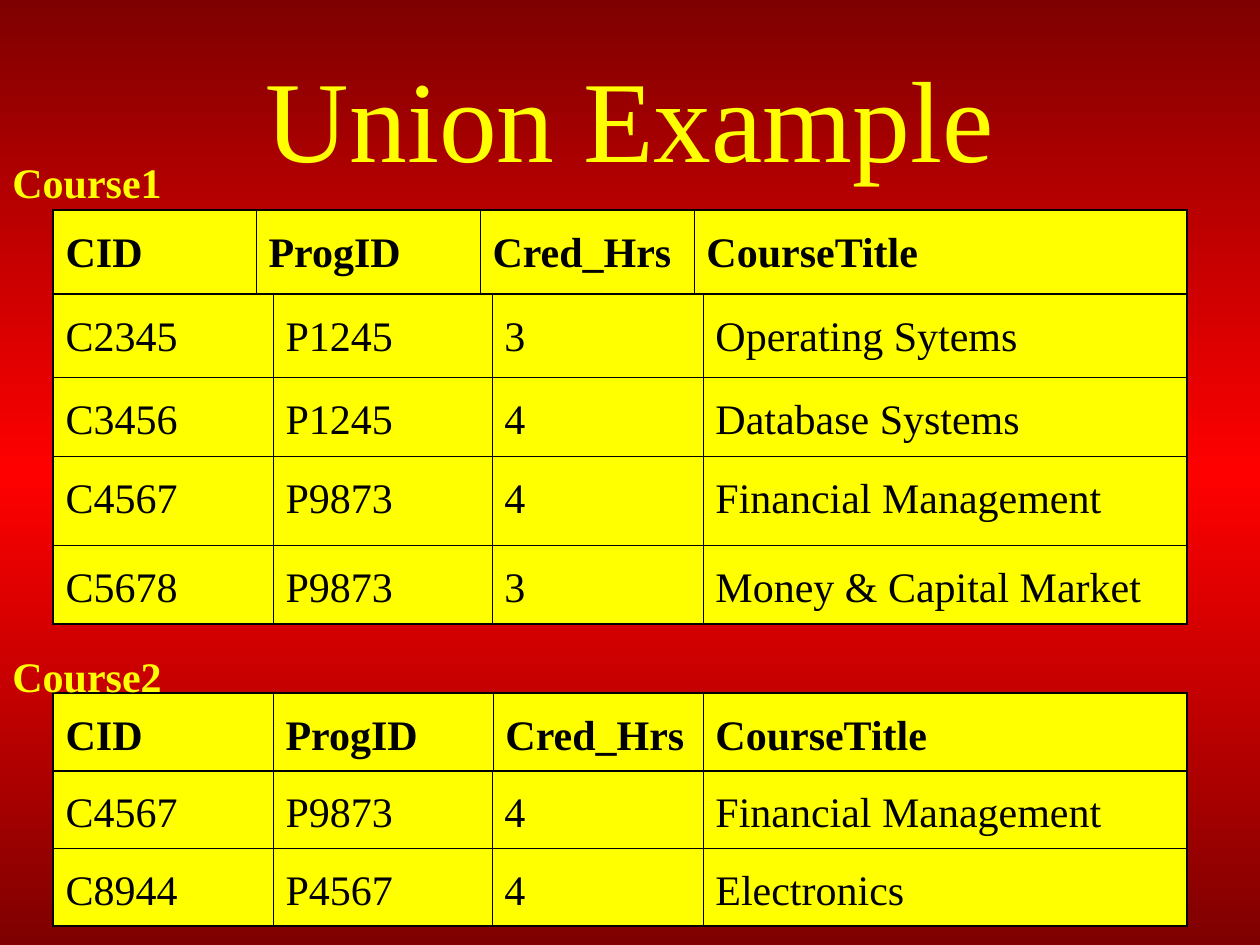
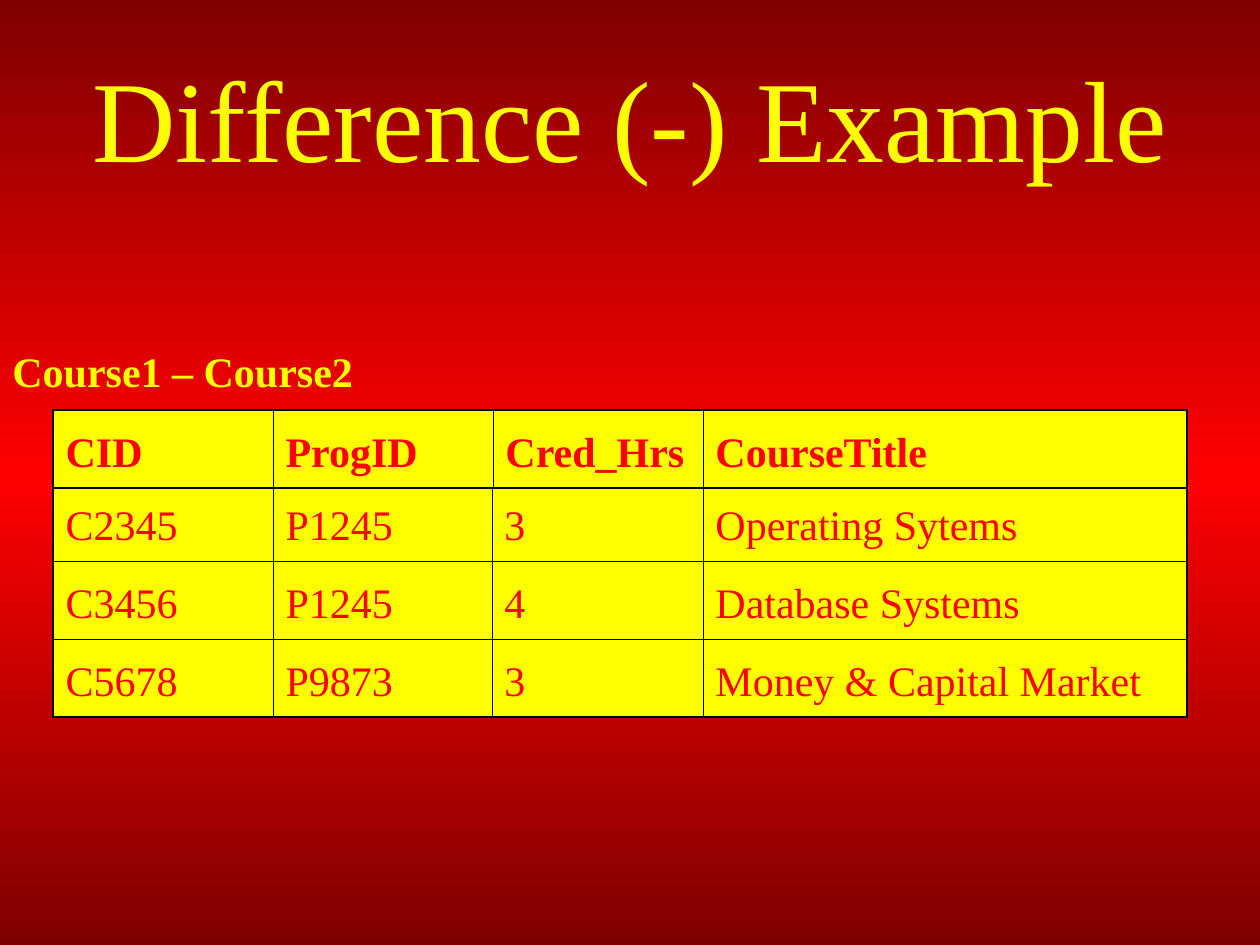
from dataclasses import dataclass
from copy import deepcopy

from lxml.etree import SubElement
from pptx import Presentation
from pptx.dml.color import RGBColor
from pptx.enum.text import MSO_ANCHOR as Anchor, MSO_AUTO_SIZE as Fit, PP_ALIGN as Align
from pptx.oxml.ns import qn
from pptx.util import Emu, Pt

FONT = "Times New Roman"
YELLOW, RED, DARK, BLACK = "FFFF00", "FF0000", "7F0000", "000000"
THICK, THIN = 1.08, 0.45
LEFT, WIDTH = 53, 1134
HEADS = ["CID", "ProgID", "Cred_Hrs", "CourseTitle"]
BODY_COLS = [220, 219, 211, 484]
HEAD_COLS = [220, 220, 210, 484]
WIDE_COLS = [203, 224, 214, 493]

SYSTEMS = ["C2345", "P1245", "3", "Operating Sytems"]
DATA = ["C3456", "P1245", "4", "Database Systems"]
FINANCE = ["C4567", "P9873", "4", "Financial Management"]
MARKET = ["C5678", "P9873", "3", "Money & Capital Market"]
CIRCUITS = ["C8944", "P4567", "4", "Electronics"]


@dataclass
class Grid:
    top: int
    heights: list[int]
    cells: list[list[str]]
    cols: list[int]
    ink: str = BLACK
    bold: bool = False


@dataclass
class Label:
    text: str
    top: int
    width: int


@dataclass
class Page:
    title: str
    grids: list[Grid]
    labels: list[Label]


PAGES = [
    Page(
        "Union Example",
        [
            Grid(294, [83, 79, 89, 79], [SYSTEMS, DATA, FINANCE, MARKET], BODY_COLS),
            Grid(210, [84], [HEADS], WIDE_COLS, bold=True),
            Grid(770, [78, 78], [FINANCE, CIRCUITS], BODY_COLS),
            Grid(693, [78], [HEADS], HEAD_COLS, bold=True),
        ],
        [Label("Course1", 147, 210), Label("Course2", 640, 210)],
    ),
    Page(
        "Difference (-) Example",
        [
            Grid(483, [78, 78, 78], [SYSTEMS, DATA, MARKET], BODY_COLS, RED),
            Grid(410, [78], [HEADS], HEAD_COLS, RED, True),
        ],
        [Label("Course1 – Course2", 336, 399)],
    ),
]


def px(n: int) -> Emu:
    return Emu(round(n * 914400 / 126))


def rgb(code: str) -> RGBColor:
    return RGBColor.from_string(code)


def style(para, size: int, ink: str, bold: bool = False) -> None:
    font = para.font
    font.name, font.size, font.bold = FONT, Pt(size), bold
    font.color.rgb = rgb(ink)


def paint(master) -> None:
    """Give the master its dark, red, dark vertical gradient."""
    fill = master.background.fill
    fill.gradient()
    fill.gradient_angle = 270
    for stop in fill.gradient_stops:
        stop.color.rgb = rgb(DARK)
    stops = master.element.find(".//" + qn("a:gsLst"))
    stops.insert(1, deepcopy(stops[0]))
    for stop, place, ink in zip(fill.gradient_stops, (0, 0.5, 1), (DARK, RED, DARK)):
        stop.position = place
        stop.color.rgb = rgb(ink)


def edge(cell, sides: dict[str, float]) -> None:
    """Draw the cell borders; they must precede the fill."""
    props = cell._tc.get_or_add_tcPr()
    for spot, (side, width) in enumerate(sides.items()):
        line = SubElement(props, qn(f"a:ln{side}"), w=str(Pt(width)))
        SubElement(SubElement(line, qn("a:solidFill")), qn("a:srgbClr"), val=BLACK)
        props.insert(spot, line)


def add_grid(slide, grid: Grid) -> None:
    rows, cols = len(grid.heights), len(grid.cols)
    frame = slide.shapes.add_table(
        rows, cols, px(LEFT), px(grid.top), px(WIDTH), px(sum(grid.heights)))
    table = frame.table
    table.first_row = table.horz_banding = False
    for col, width in zip(table.columns, grid.cols):
        col.width = px(width)
    for r, height in enumerate(grid.heights):
        table.rows[r].height = px(height)
        for c, text in enumerate(grid.cells[r]):
            cell = table.cell(r, c)
            cell.text = text
            cell.fill.solid()
            cell.fill.fore_color.rgb = rgb(YELLOW)
            para = cell.text_frame.paragraphs[0]
            para.line_spacing = 1.3
            style(para, 24, grid.ink, grid.bold)
            outer = {"L": c == 0, "R": c == cols - 1, "T": r == 0, "B": r == rows - 1}
            edge(cell, {side: THICK if out else THIN for side, out in outer.items()})


def add_label(slide, label: Label) -> None:
    box = slide.shapes.add_textbox(0, px(label.top), px(label.width), px(63))
    frame = box.text_frame
    frame.word_wrap = True
    frame.margin_top, frame.margin_bottom = px(10), px(3)
    frame.text = label.text
    style(frame.paragraphs[0], 24, YELLOW, True)


def set_title(slide, text: str) -> None:
    title = slide.shapes.title
    title.left, title.top, title.width, title.height = map(px, (63, 38, WIDTH, 157))
    frame = title.text_frame
    frame.text = text
    frame.auto_size = Fit.NONE
    frame.vertical_anchor = Anchor.MIDDLE
    para = frame.paragraphs[0]
    para.alignment = Align.CENTER
    style(para, 66, YELLOW)


def main() -> None:
    deck = Presentation()
    deck.slide_width, deck.slide_height = px(1260), px(945)
    paint(deck.slide_master)
    for page in PAGES:
        slide = deck.slides.add_slide(deck.slide_layouts[5])
        set_title(slide, page.title)
        for grid in page.grids:
            add_grid(slide, grid)
        for label in page.labels:
            add_label(slide, label)
    deck.save("out.pptx")


if __name__ == "__main__":
    main()
